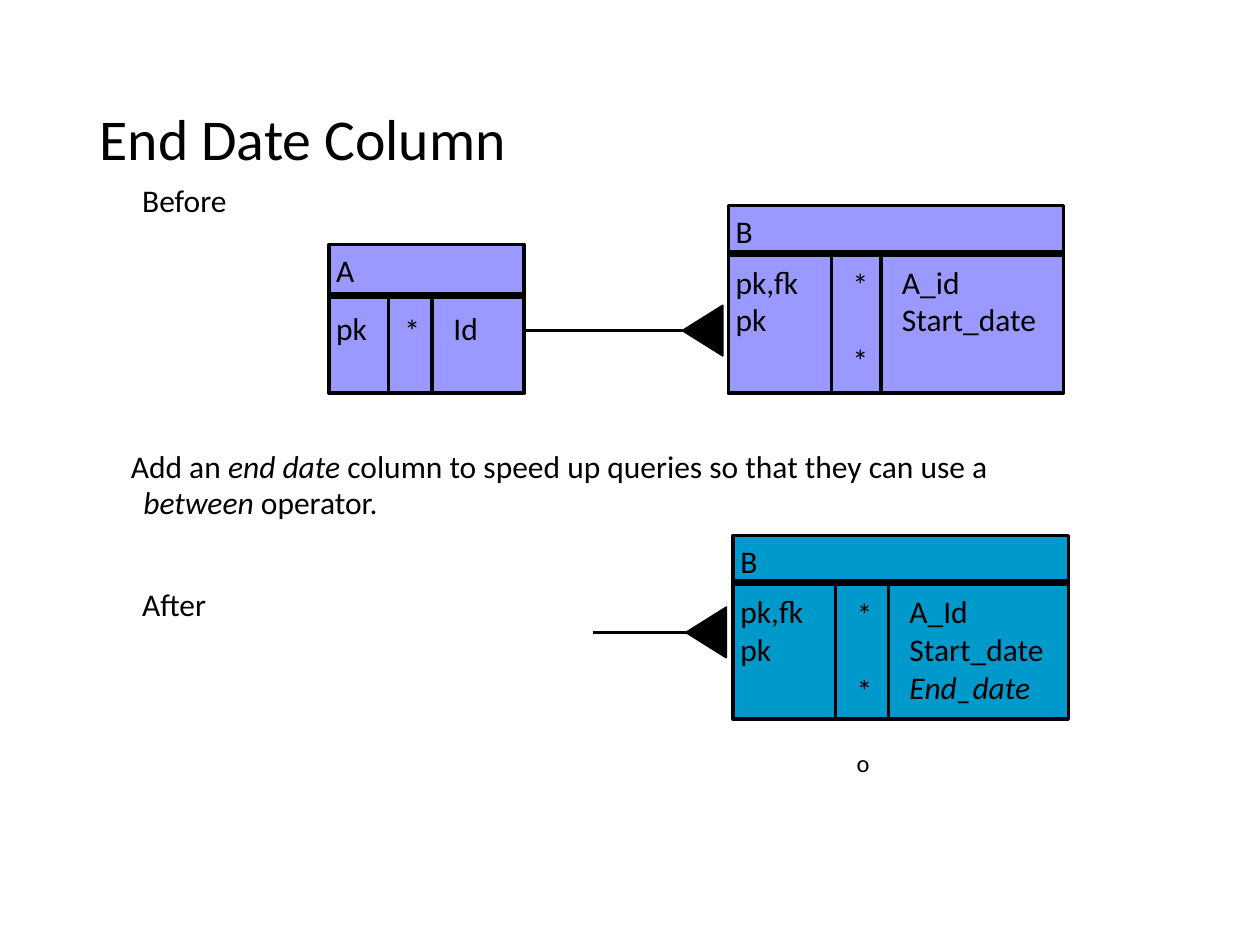
from lxml.etree import SubElement
from pptx import Presentation
from pptx.dml.color import RGBColor
from pptx.enum.shapes import MSO_CONNECTOR, MSO_SHAPE
from pptx.enum.text import MSO_ANCHOR, PP_ALIGN
from pptx.oxml.ns import qn
from pptx.util import Pt

FONT, BLACK = "Calibri", "000000"
BODY_SIZE, NULLABLE_SIZE, ROW_HEIGHT = 18, 14, 22

TITLE = "End Date Column"
STAGES = [("Before", 100), ("After", 330.5)]
# Text between bars is italic.
ADVICE = ("Add an |end date| column to speed up queries so that they can use a"
          "| between| operator.")

# Rows are (key, optionality, column name).
ENTITIES = [
    {"name": "A", "fill": "9999FF", "box": (188, 139.7, 111.6, 85),
     "rule": 168.8, "dividers": (222, 247), "rows_top": 172.8, "mark_left": 224,
     "rows": [("pk", "*", "Id")]},
    {"name": "B", "fill": "9999FF", "box": (416.2, 117.4, 191.5, 107.3),
     "rule": 144.7, "dividers": (475.2, 503.3), "rows_top": 146.5, "mark_left": 480.2,
     "rows": [("pk,fk", "*", "A_id"), ("pk", "", "Start_date"), ("", "*", "")]},
    {"name": "B", "fill": "0099CC", "box": (419, 306, 191.5, 105),
     "rule": 332.6, "dividers": (477.4, 507.6), "rows_top": 335, "mark_left": 482.4,
     "rows": [("pk,fk", "*", "A_Id"), ("pk", "", "Start_date"),
              ("", "*", "|End_date|"), ("", "", ""), ("", "o", "")]},
]
# Line start, crow's foot tip, vertical middle.
RELATIONS = [(299.6, 390, 188.9), (339.1, 392, 361.4)]
FOOT_LENGTH, FOOT_SPREAD = 23, 28.8


def color(hex_value):
    return RGBColor.from_string(hex_value)


def style(paragraph, size):
    paragraph.font.name = FONT
    paragraph.font.size = Pt(size)
    paragraph.font.color.rgb = color(BLACK)


def add_runs(paragraph, marked_text):
    """Write the text, with the parts between bars in italics."""
    for position, part in enumerate(marked_text.split("|")):
        if part:
            run = paragraph.add_run()
            run.text = part
            if position % 2:
                run.font.italic = True


def add_text(slide, left, top, width, lines):
    """Stack lines in a text box; an empty line becomes space before the next."""
    height = ROW_HEIGHT * len(lines) + 7.2
    frame = slide.shapes.add_textbox(Pt(left), Pt(top), Pt(width), Pt(height)).text_frame
    frame.word_wrap = True
    skipped, paragraph = 0, None
    for line in lines:
        if not line:
            skipped += 1
            continue
        paragraph = frame.add_paragraph() if paragraph else frame.paragraphs[0]
        add_runs(paragraph, line)
        style(paragraph, NULLABLE_SIZE if line == "o" else BODY_SIZE)
        paragraph.space_before = Pt(ROW_HEIGHT * skipped)
        skipped = 0
    return frame


def add_line(slide, start, end, width=2):
    line = slide.shapes.add_connector(MSO_CONNECTOR.STRAIGHT, *map(Pt, start + end))
    line.line.color.rgb = color(BLACK)
    line.line.width = Pt(width)
    SubElement(line._element.spPr, qn("a:effectLst"))


def add_filled(slide, kind, bounds, fill, line_width):
    shape = slide.shapes.add_shape(kind, *map(Pt, bounds))
    shape.shadow.inherit = False
    shape.fill.solid()
    shape.fill.fore_color.rgb = color(fill)
    shape.line.color.rgb = color(BLACK)
    shape.line.width = Pt(line_width)
    return shape


def add_entity(slide, entity):
    left, top, width, height = entity["box"]
    rule, rows_top = entity["rule"], entity["rows_top"]
    add_filled(slide, MSO_SHAPE.RECTANGLE, entity["box"], entity["fill"], 2)
    add_line(slide, (left, rule), (left + width, rule), 4)
    for x in entity["dividers"]:
        add_line(slide, (x, rule), (x, top + height))
    add_text(slide, left - 3, top, 90, [entity["name"]])
    keys, marks, names = zip(*entity["rows"])
    add_text(slide, left - 3, rows_top, 68, keys)
    add_text(slide, entity["mark_left"], rows_top + 1.5, 30, marks)
    add_text(slide, entity["dividers"][1] + 5, rows_top, 109, names)


def add_relation(slide, start, tip, middle):
    add_line(slide, (start, middle), (tip + 5, middle))
    # Bounds before the quarter turn that points the triangle left.
    bounds = (tip + (FOOT_LENGTH - FOOT_SPREAD) / 2, middle - FOOT_LENGTH / 2,
              FOOT_SPREAD, FOOT_LENGTH)
    foot = add_filled(slide, MSO_SHAPE.ISOSCELES_TRIANGLE, bounds, BLACK, 1)
    foot.rotation = 270


def main():
    deck = Presentation()
    deck.slide_width, deck.slide_height = Pt(720), Pt(540)
    slide = deck.slides.add_slide(deck.slide_layouts[5])

    title = slide.shapes.title
    title.left, title.top, title.width, title.height = map(Pt, (49.7, 28.8, 620.6, 104.4))
    title.text_frame.text = TITLE
    title.text_frame.vertical_anchor = MSO_ANCHOR.MIDDLE
    heading = title.text_frame.paragraphs[0]
    style(heading, 33)
    heading.alignment = PP_ALIGN.LEFT
    heading.line_spacing = 0.9

    for label, top in STAGES:
        add_text(slide, 74.2, top, 80, [label])

    advice = add_text(slide, 43.2, 253.4, 591, [ADVICE]).paragraphs[0]
    advice.line_spacing = 0.95
    indents = advice._p.get_or_add_pPr()
    indents.set("marL", str(Pt(31.7)))
    indents.set("indent", str(Pt(-7.2)))

    for relation in RELATIONS:
        add_relation(slide, *relation)
    for entity in ENTITIES:
        add_entity(slide, entity)
    deck.save("out.pptx")


if __name__ == "__main__":
    main()
